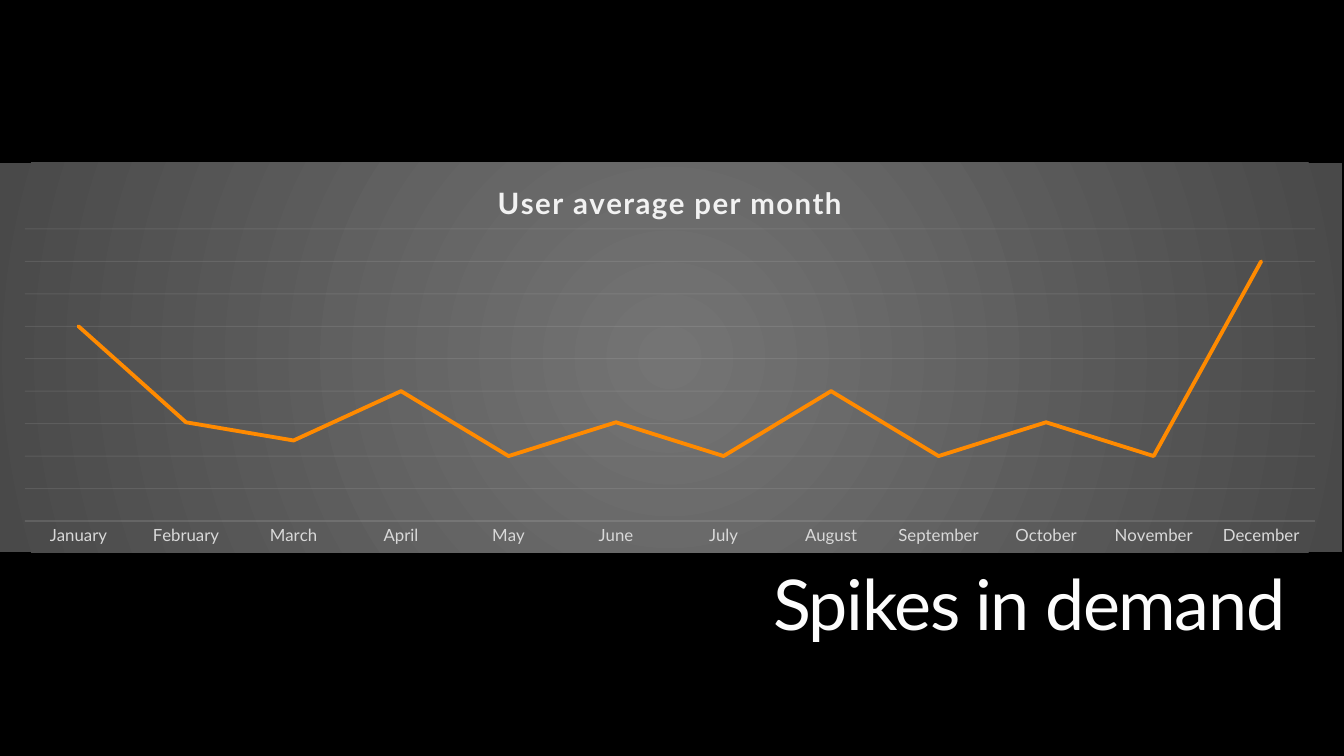
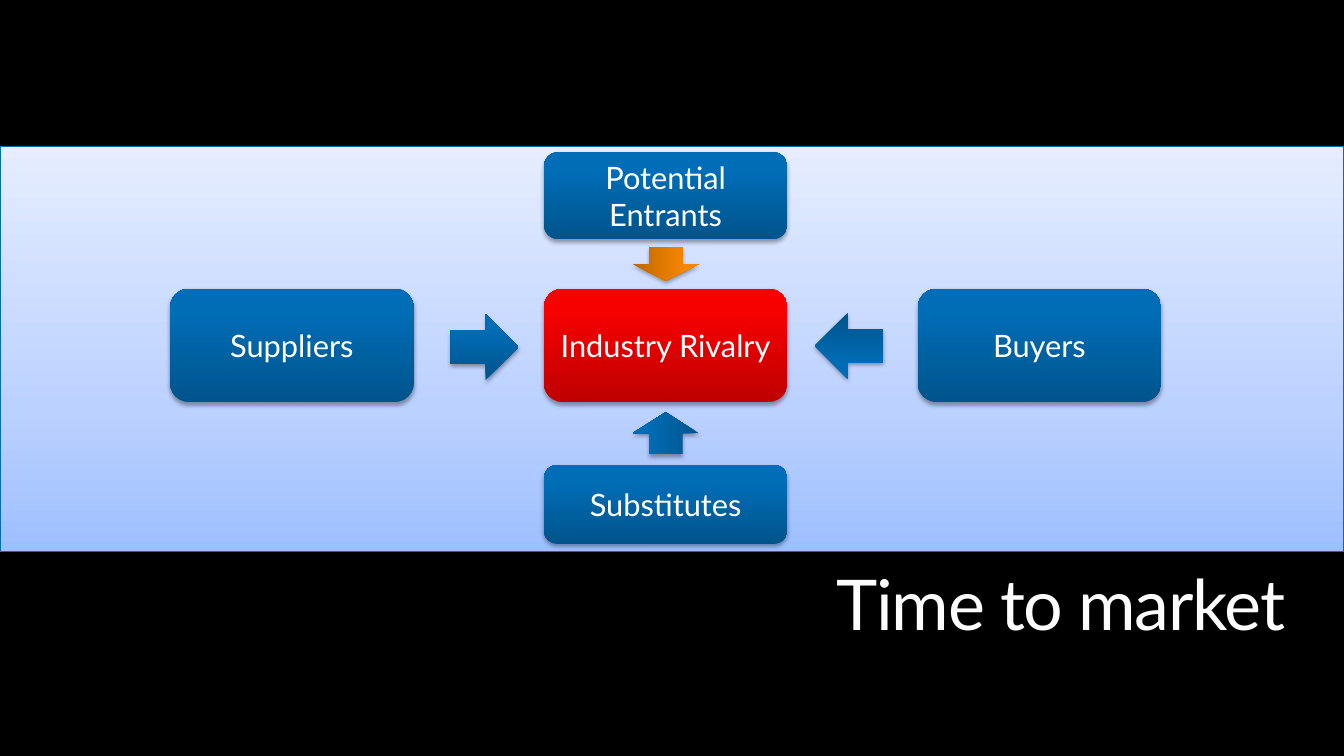
from lxml import etree
from pptx import Presentation
from pptx.chart.data import CategoryChartData
from pptx.dml.color import RGBColor
from pptx.enum.chart import XL_CHART_TYPE, XL_TICK_MARK
from pptx.enum.shapes import MSO_SHAPE
from pptx.enum.text import MSO_ANCHOR, MSO_AUTO_SIZE, PP_ALIGN
from pptx.oxml import parse_xml
from pptx.oxml.ns import nsdecls, qn
from pptx.util import Pt

PX = 9525
FONT = "Lato"
RECTANGLE = MSO_SHAPE.RECTANGLE
ROUNDED = MSO_SHAPE.ROUNDED_RECTANGLE
ARROW = MSO_SHAPE.RIGHT_ARROW
MIDDLE = MSO_ANCHOR.MIDDLE

BLACK = RGBColor(0x00, 0x00, 0x00)
WHITE = RGBColor(0xFF, 0xFF, 0xFF)
CHART_TEXT = RGBColor(0x29, 0x29, 0x29)
MONTH_GREY = RGBColor(0xD9, 0xD9, 0xD9)
PALE_GREY = RGBColor(0xF2, 0xF2, 0xF2)
ORANGE = RGBColor(0xFF, 0x8A, 0x00)
BAND_EDGE = RGBColor(0x00, 0x6F, 0xB8)

# Gradient stops: position in percent and colour
CHART_STOPS = [(0, RGBColor(0x74, 0x74, 0x74)), (100, RGBColor(0x49, 0x49, 0x49))]
BAND_STOPS = [(0, RGBColor(0x9E, 0xBF, 0xFF)), (35, RGBColor(0xBB, 0xD1, 0xFF)),
              (100, RGBColor(0xE5, 0xED, 0xFF))]
BLUE_STOPS = [(0, RGBColor(0x00, 0x54, 0x8C)), (80, RGBColor(0x00, 0x6D, 0xB6)),
              (100, RGBColor(0x00, 0x6E, 0xB7))]
RED_STOPS = [(0, RGBColor(0xBE, 0x00, 0x00)), (80, RGBColor(0xF7, 0x00, 0x00)),
             (100, RGBColor(0xF8, 0x00, 0x00))]
ORANGE_STOPS = [(0, RGBColor(0xBE, 0x67, 0x00)), (80, RGBColor(0xF7, 0x86, 0x00)),
                (100, RGBColor(0xF8, 0x86, 0x00))]
UPWARD = '<a:lin ang="16200000" scaled="0"/>'
FROM_CENTRE = ('<a:path path="circle"><a:fillToRect l="50000" t="50000" '
               'r="50000" b="50000"/></a:path>')


def gradient_fill(stops, direction):
    stops_xml = "".join(
        f'<a:gs pos="{position * 1000}"><a:srgbClr val="{color}"/></a:gs>'
        for position, color in stops)
    return parse_xml(f'<a:gradFill {nsdecls("a")} rotWithShape="1">'
                     f'<a:gsLst>{stops_xml}</a:gsLst>{direction}</a:gradFill>')


def add_block(slide, kind, box, stops, rotation=0, shadow_alpha=35, shadow_distance=23000):
    """Add a borderless shape with an upward gradient and a soft shadow below."""
    block = slide.shapes.add_shape(kind, *[length * PX for length in box])
    block.rotation = rotation
    block.fill.gradient()
    properties = block.element.spPr
    properties.replace(properties.find(qn("a:gradFill")), gradient_fill(stops, UPWARD))
    block.line.fill.background()
    block.shadow.inherit = False
    properties.find(qn("a:effectLst")).append(parse_xml(
        f'<a:outerShdw {nsdecls("a")} blurRad="40000" dist="{shadow_distance}" '
        f'dir="5400000" rotWithShape="0"><a:srgbClr val="{BLACK}">'
        f'<a:alpha val="{shadow_alpha * 1000}"/></a:srgbClr></a:outerShdw>'))
    return block


prs = Presentation()
prs.slide_width, prs.slide_height = 1280 * PX, 720 * PX
background = prs.slide_master.background.fill
background.solid()
background.fore_color.rgb = BLACK

# Slides with their titles
slides = []
translucent = []
for heading in ("Spikes in demand", "Time to market"):
    slide = prs.slides.add_slide(prs.slide_layouts[5])
    title = slide.shapes.title
    title.left, title.top, title.width, title.height = 48 * PX, 525 * PX, 1176 * PX, 107 * PX
    frame = title.text_frame
    frame.text = heading
    frame.word_wrap = True
    frame.auto_size = MSO_AUTO_SIZE.NONE
    frame.vertical_anchor = MIDDLE
    frame.margin_left = frame.margin_right = frame.margin_top = frame.margin_bottom = 0
    paragraph = frame.paragraphs[0]
    paragraph.alignment = PP_ALIGN.RIGHT
    paragraph.line_spacing = 0.9
    paragraph.font.name = FONT
    paragraph.font.size = Pt(50)
    paragraph.font.color.rgb = WHITE
    title_style = title.element.find(".//" + qn("a:defRPr"))
    title_style.set("spc", "-100")
    translucent.append((title_style, 98))
    slides.append(slide)
demand_slide, market_slide = slides

# Spikes in demand: line chart
monthly_users = CategoryChartData()
monthly_users.categories = ["January", "February", "March", "April", "May", "June", "July",
                            "August", "September", "October", "November", "December"]
monthly_users.add_series("Series 1", [75, 38, 31, 50, 25, 38, 25, 50, 25, 38, 25, 100])
chart = demand_slide.shapes.add_chart(
    XL_CHART_TYPE.LINE, -2 * PX, 155 * PX, 1280 * PX, 371 * PX, monthly_users).chart
chart.has_legend = False
chart.font.name = FONT
chart.font.size = Pt(10)
chart.font.color.rgb = CHART_TEXT

chart.has_title = True
chart.chart_title.include_in_layout = False
chart_heading = chart.chart_title.text_frame
chart_heading.text = "User average per month"
heading_font = chart_heading.paragraphs[0].font
heading_font.name = FONT
heading_font.size = Pt(21)
heading_font.bold = True
heading_font.color.rgb = PALE_GREY
chart_xml = chart.element
chart_xml.find(".//" + qn("c:title")).find(".//" + qn("a:defRPr")).set("spc", "100")

plot = chart.plots[0]
plot.vary_by_categories = False
users = plot.series[0]
users.smooth = False
users.format.line.color.rgb = ORANGE
users.format.line.width = Pt(2.75)
users.format.line._ln.set("cap", "rnd")

months = chart.category_axis
months.major_tick_mark = XL_TICK_MARK.NONE
months.tick_labels.font.name = FONT
months.tick_labels.font.size = Pt(12)
months.tick_labels.font.color.rgb = MONTH_GREY
scale = chart.value_axis
scale.minimum_scale, scale.maximum_scale, scale.major_unit = 0, 112.5, 12.5
scale.has_major_gridlines = True
scale.visible = False
for rule in (months.format.line, scale.major_gridlines.format.line):
    rule.color.rgb = PALE_GREY
    rule.width = Pt(0.75)
translucent += [(chart_xml.find(f".//{qn('c:catAx')}/{qn('c:spPr')}"), 10),
                (chart_xml.find(".//" + qn("c:majorGridlines")), 10)]

for element, percent in translucent:
    for color in element.iter(qn("a:srgbClr")):
        etree.SubElement(color, qn("a:alpha")).set("val", str(percent * 1000))

chart_area = parse_xml(f'<c:spPr {nsdecls("c", "a")}><a:ln><a:noFill/></a:ln></c:spPr>')
chart_area.insert(0, gradient_fill(CHART_STOPS, FROM_CENTRE))
chart_xml.find(qn("c:chart")).addnext(chart_area)

plot_area = chart_xml.find(".//" + qn("c:plotArea"))
for automatic_layout in plot_area.findall(qn("c:layout")):
    plot_area.remove(automatic_layout)
plot_area.insert(0, parse_xml(
    f'<c:layout {nsdecls("c")}><c:manualLayout><c:layoutTarget val="inner"/>'
    '<c:xMode val="edge"/><c:yMode val="edge"/><c:x val="0.02"/><c:y val="0.17"/>'
    '<c:w val="0.96"/><c:h val="0.75"/></c:manualLayout></c:layout>'))

# Time to market: five forces around the industry
band = add_block(market_slide, RECTANGLE, (0, 140, 1280, 385), BAND_STOPS,
                 shadow_alpha=38, shadow_distance=20000)
band.line.color.rgb = BAND_EDGE
band.line.width = Pt(0.75)

FORCE_WIDTH = 232
LEFT, CENTRE, RIGHT = [162 + column * 356 for column in range(3)]
forces = [
    ("Industry Rivalry", CENTRE, 275, 108, RED_STOPS),
    ("Potential Entrants", CENTRE, 145, 83, BLUE_STOPS),
    ("Buyers", RIGHT, 275, 108, BLUE_STOPS),
    ("Suppliers", LEFT, 275, 108, BLUE_STOPS),
    ("Substitutes", CENTRE, 443, 75, BLUE_STOPS),
]
for label, left, top, height, stops in forces:
    force = add_block(market_slide, ROUNDED, (left, top, FORCE_WIDTH, height), stops)
    frame = force.text_frame
    frame.text = label
    frame.word_wrap = True
    frame.vertical_anchor = MIDDLE
    paragraph = frame.paragraphs[0]
    paragraph.alignment = PP_ALIGN.CENTER
    paragraph.font.name = FONT
    paragraph.font.size = Pt(22)
    paragraph.font.color.rgb = WHITE

ARROW_BREADTH = 63
pressures = [
    (429, 299, 65, 0, BLUE_STOPS),
    (776, 298, 65, 180, BLUE_STOPS),
    (614, 381, 40, 270, BLUE_STOPS),
    (618, 220, 32, 90, ORANGE_STOPS),
]
for left, top, length, rotation, stops in pressures:
    add_block(market_slide, ARROW, (left, top, length, ARROW_BREADTH), stops, rotation)

prs.save("out.pptx")
